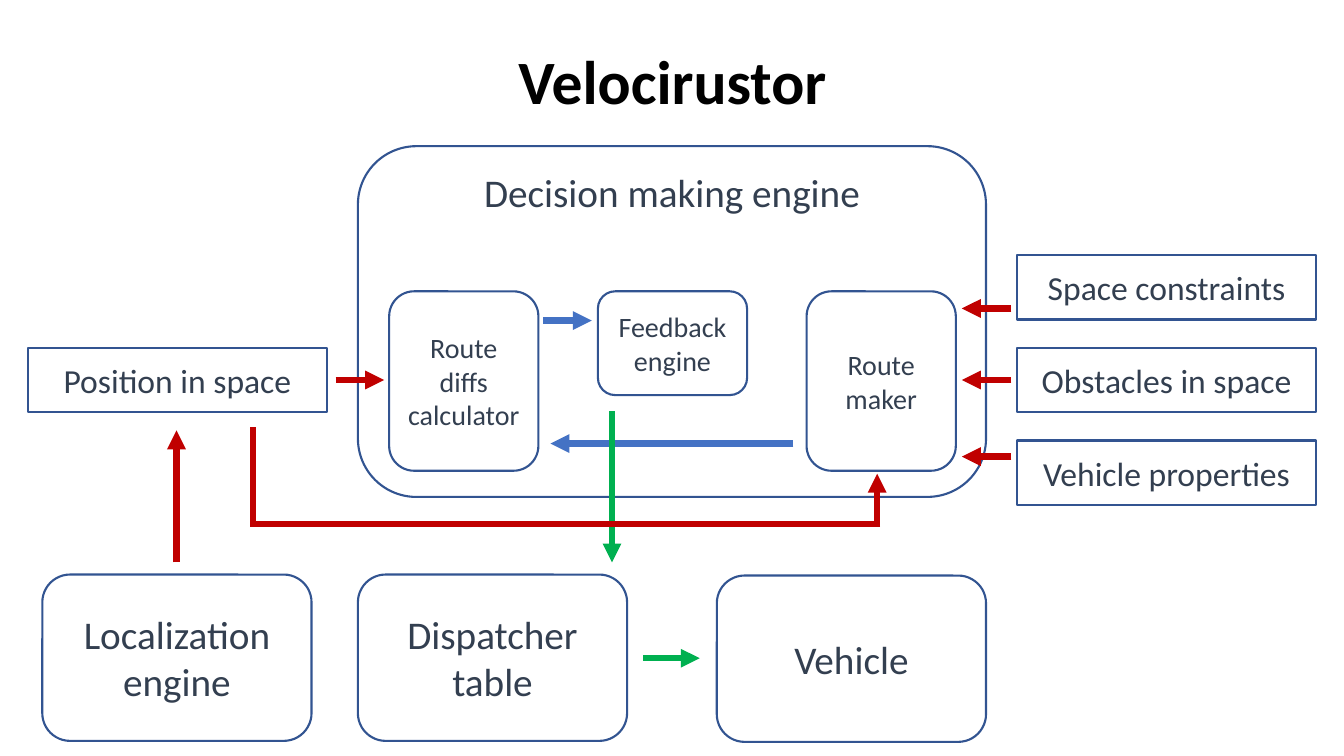
from lxml import etree
from pptx import Presentation
from pptx.dml.color import RGBColor
from pptx.enum import shapes, text
from pptx.oxml import ns
from pptx.util import Inches, Pt

OUTLINE = RGBColor(0x32, 0x54, 0x91)
LABEL = RGBColor(0x33, 0x3F, 0x50)
BLACK = RGBColor(0, 0, 0)
BLUE = RGBColor(0x44, 0x72, 0xC4)
RED = RGBColor(0xC0, 0, 0)
GREEN = RGBColor(0, 0xB0, 0x50)
FONT = "Calibri"
RECT = shapes.MSO_SHAPE.RECTANGLE
ROUNDED = shapes.MSO_SHAPE.ROUNDED_RECTANGLE
TOP, MIDDLE = text.MSO_ANCHOR.TOP, text.MSO_ANCHOR.MIDDLE


def write(frame, wording, size, color=LABEL, bold=False, anchor=MIDDLE):
    frame.word_wrap = True
    frame.vertical_anchor = anchor
    paragraph = frame.paragraphs[0]
    paragraph.alignment = text.PP_ALIGN.CENTER
    run = paragraph.add_run()
    run.text = wording
    run.font.name, run.font.size, run.font.bold = FONT, Pt(size), bold
    run.font.color.rgb = color
    return paragraph


def add_node(slide, box, wording, size, preset=ROUNDED, anchor=MIDDLE):
    """Add an outlined, unfilled block with a centred label."""
    node = slide.shapes.add_shape(preset, *map(Inches, box))
    node.shadow.inherit = False
    node.fill.background()
    node.line.color.rgb = OUTLINE
    node.line.width = Pt(1.5)
    write(node.text_frame, wording, size, anchor=anchor)


def add_flow(slide, start, end, color, head=True):
    """Draw a thick straight line, with an arrowhead at its end if wanted."""
    flow = slide.shapes.add_connector(
        shapes.MSO_CONNECTOR.STRAIGHT, *map(Inches, (*start, *end)))
    flow.line.color.rgb = color
    flow.line.width = Pt(4.5)
    if head:
        etree.SubElement(flow.line._get_or_add_ln(), ns.qn("a:tailEnd"), type="triangle")
    etree.SubElement(flow._element.spPr, ns.qn("a:effectLst"))


def add_title(slide, box):
    title = slide.shapes.add_textbox(*map(Inches, box))
    write(title.text_frame, "Velocirustor", 44, BLACK, bold=True).line_spacing = 0.9


def add_decision_engine(slide, box):
    left, top, _, _ = box
    add_node(slide, box, "Decision making engine", 28, anchor=TOP)
    for offset, height, wording in ((0.31, 1.78, "Route diffs calculator"),
                                    (4.45, 1.78, "Route maker"),
                                    (2.38, 1.03, "Feedback engine")):
        add_node(slide, (left + offset, top + 1.44, 1.48, height), wording, 20)
    add_flow(slide, (left + 4.32, top + 2.95), (left + 1.91, top + 2.95), BLUE)
    add_flow(slide, (left + 1.84, top + 1.73), (left + 2.32, top + 1.73), BLUE)


def add_position(slide, box):
    """Add the position block and its flows to both route blocks."""
    left, top, width, height = box
    add_node(slide, box, "Position in space", 24, RECT)
    middle = top + height / 2
    add_flow(slide, (left + width + 0.09, middle), (left + width + 0.57, middle), RED)
    start_x, maker_x, turn_y = left + 2.23, left + 8.42, top + 1.75
    add_flow(slide, (maker_x, turn_y), (maker_x, top + 1.25), RED)
    add_flow(slide, (maker_x + 0.03, turn_y), (start_x - 0.01, turn_y), RED, head=False)
    add_flow(slide, (start_x, top + 0.79), (start_x, turn_y + 0.03), RED, head=False)


def add_inputs(slide, box):
    """Stack the route maker's inputs, each with an arrow to its left."""
    left, top, width, height = box
    row = 0.64
    pitch = (height - row) / 2
    inputs = (("Space constraints", 0.53), ("Obstacles in space", 0.32),
              ("Vehicle properties", 0.16))
    for index, (wording, arrow_offset) in enumerate(inputs):
        row_top = top + index * pitch
        add_node(slide, (left, row_top, width, row), wording, 24, RECT)
        arrow_y = row_top + arrow_offset
        add_flow(slide, (left - 0.06, arrow_y), (left - 0.55, arrow_y), RED)


def add_bottom_row(slide, box):
    """Add the localization, dispatcher and vehicle blocks with their flows."""
    left, top, _, height = box
    for offset, drop, wording in ((0, 0, "Localization engine"),
                                  (3.13, 0, "Dispatcher table"),
                                  (6.69, 0.01, "Vehicle")):
        add_node(slide, (left + offset, top + drop, 2.67, height), wording, 28)
    add_flow(slide, (left + 1.33, top - 0.12), (left + 1.33, top - 1.43), RED)
    add_flow(slide, (left + 5.65, top - 1.62), (left + 5.65, top - 0.12), GREEN)
    add_flow(slide, (left + 5.96, top + 0.83), (left + 6.52, top + 0.83), GREEN)


def main():
    deck = Presentation()
    deck.slide_width, deck.slide_height = Inches(13.33), Inches(7.5)
    slide = deck.slides.add_slide(deck.slide_layouts[6])
    add_title(slide, (0.92, 0.4, 11.5, 0.87))
    add_decision_engine(slide, (3.55, 1.45, 6.23, 3.48))
    add_inputs(slide, (10.09, 2.53, 2.96, 2.48))
    add_bottom_row(slide, (0.42, 5.7, 9.36, 1.65))
    add_position(slide, (0.28, 3.45, 2.96, 0.64))
    deck.save("out.pptx")


if __name__ == "__main__":
    main()
